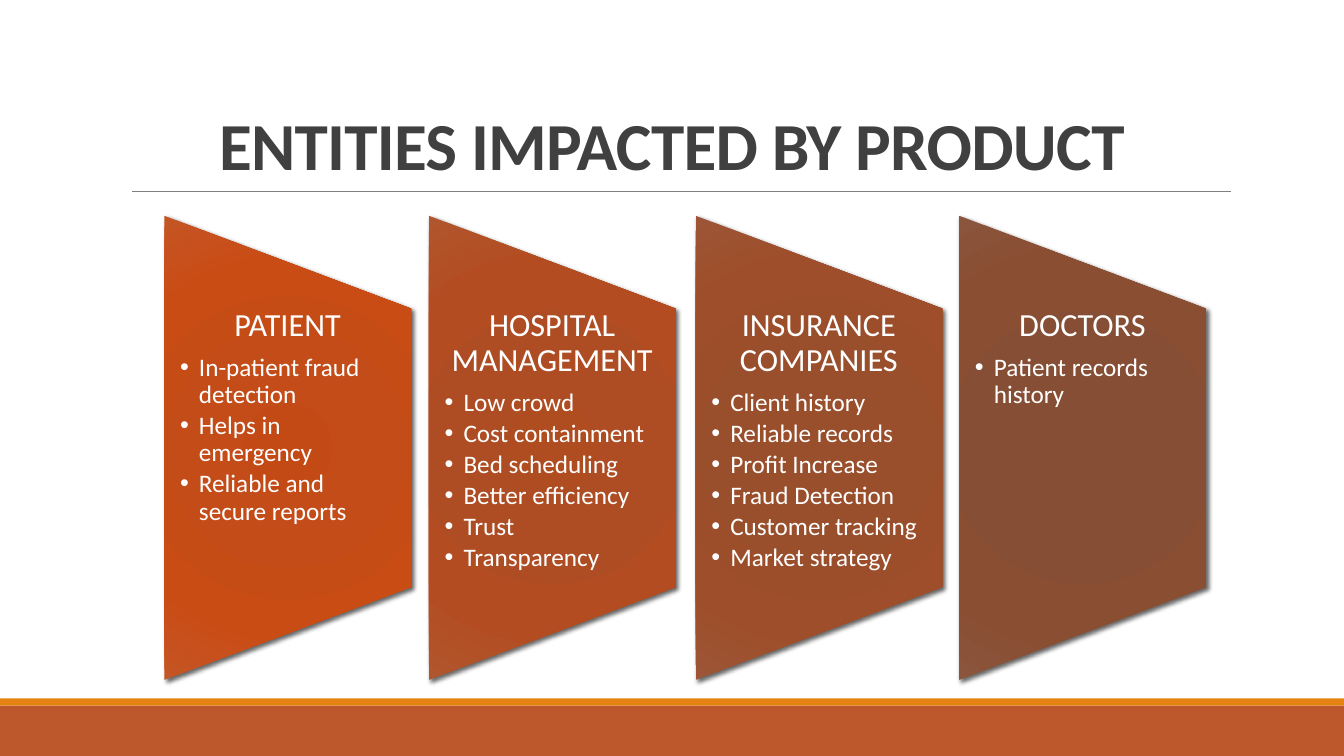
from dataclasses import dataclass
from typing import Any

from lxml.etree import SubElement
from pptx import Presentation
from pptx.dml.color import RGBColor
from pptx.enum.shapes import MSO_CONNECTOR, MSO_SHAPE
from pptx.enum.text import MSO_ANCHOR, MSO_AUTO_SIZE, PP_ALIGN
from pptx.oxml import parse_xml
from pptx.oxml.ns import nsdecls, qn
from pptx.util import Emu, Pt

EMU_PER_PX = 9525
PANEL_LENGTH, PANEL_WIDTH, PANEL_TOP = 442, 235, 309
LIST_TOP, LIST_HEIGHT = 294, 265
BULLET_INDENT = 18
GRADIENT_POSITIONS = (0, 34, 70, 100)
COMPARISON_LAYOUT = 4

FRAME = {"word_wrap": True, "auto_size": MSO_AUTO_SIZE.NONE}
TITLE_FRAME = FRAME | {"vertical_anchor": MSO_ANCHOR.BOTTOM}
TITLE_PARA = {"alignment": PP_ALIGN.CENTER, "line_spacing": 0.85, "space_before": Pt(0)}
TITLE_FONT = {"name": "Calibri", "size": Pt(48), "bold": True}
HEADING_PARA = {"alignment": PP_ALIGN.CENTER, "line_spacing": 0.9,
                "space_before": Pt(0), "space_after": Pt(8)}
HEADING_FONT = {"name": "Calibri", "size": Pt(23), "bold": False}
BULLET_PARA = {"level": 1, "alignment": PP_ALIGN.LEFT, "line_spacing": 0.9,
               "space_before": Pt(0), "space_after": Pt(2.7)}
BULLET_FONT = HEADING_FONT | {"size": Pt(18)}


@dataclass(frozen=True)
class Bar:
    top: int
    height: int
    fill: str


@dataclass(frozen=True)
class Entity:
    left: int
    colours: tuple[str, ...]
    heading: str
    points: tuple[str, ...]


BARS = (Bar(672, 48, "BD582C"), Bar(665, 7, "E48312"))
ENTITIES = (
    Entity(53, ("C44A15", "C34C18", "C94C15", "C45525"), "PATIENT",
           ("In-patient fraud detection", "Helps in emergency",
            "Reliable and secure reports")),
    Entity(305, ("AF4C20", "AE4D23", "B34D21", "B0562E"), "HOSPITAL MANAGEMENT",
           ("Low crowd", "Cost containment", "Bed scheduling",
            "Better efficiency", "Trust", "Transparency")),
    Entity(559, ("9A4C29", "994E2C", "9E4E2A", "9C5536"), "INSURANCE COMPANIES",
           ("Client history", "Reliable records", "Profit Increase",
            "Fraud Detection", "Customer tracking", "Market strategy")),
    Entity(810, ("874C32", "864E34", "8A4E33", "8A553C"), "DOCTORS",
           ("Patient records history",)),
)


def px(length: float) -> Emu:
    return Emu(round(length * EMU_PER_PX))


def colour(value: str) -> RGBColor:
    return RGBColor.from_string(value)


def set_format(target: Any, values: dict[str, Any]) -> None:
    for name, value in values.items():
        setattr(target, name, value)


def place(box: Any, left: float, top: int, width: int, height: int) -> None:
    set_format(box, {"left": px(left), "top": px(top),
                     "width": px(width), "height": px(height)})


def write(para: Any, text: str, para_format: dict[str, Any],
          font_format: dict[str, Any], fill: str) -> Any:
    """Fill a paragraph with one formatted span and return the span."""
    set_format(para, para_format)
    span = para.add_run()
    span.text = text
    set_format(span.font, font_format)
    span.font.color.rgb = colour(fill)
    return span


def set_bullet(para: Any, mark: str | None) -> None:
    """Give the paragraph a hanging bullet, or none at all."""
    properties = para._p.get_or_add_pPr()
    indent = px(BULLET_INDENT) if mark else 0
    properties.set("marL", str(indent))
    properties.set("indent", str(-indent))
    if mark:
        SubElement(properties, qn("a:buFont"), typeface="Arial")
        SubElement(properties, qn("a:buChar"), char=mark)
    else:
        SubElement(properties, qn("a:buNone"))


def add_bar(page: Any, bar: Bar, width: int) -> None:
    box = page.shapes.add_shape(MSO_SHAPE.RECTANGLE, 0, px(bar.top), width, px(bar.height))
    box.shadow.inherit = False
    box.fill.solid()
    box.fill.fore_color.rgb = colour(bar.fill)
    box.line.fill.background()


def add_title_rule(page: Any) -> None:
    rule = page.shapes.add_connector(MSO_CONNECTOR.STRAIGHT,
                                     px(126), px(182), px(1172), px(182))
    rule.line.color.rgb = colour("808080")
    rule.line.width = Pt(0.5)
    SubElement(rule.element.spPr, qn("a:effectLst"))


def write_title(title: Any, text: str) -> None:
    place(title, 112, 60, 1056, 120)
    set_format(title.text_frame, TITLE_FRAME)
    span = write(title.text_frame.paragraphs[0], text, TITLE_PARA, TITLE_FONT, "404040")
    span.font._element.set("spc", "-50")


def add_panel(page: Any, entity: Entity) -> None:
    panel = page.shapes.add_shape(MSO_SHAPE.FLOWCHART_MANUAL_OPERATION, px(entity.left),
                                  px(PANEL_TOP), px(PANEL_LENGTH), px(PANEL_WIDTH))
    panel.rotation = 270
    panel.line.fill.background()
    panel.fill.solid()
    panel.shadow.inherit = False
    stops = "".join(
        f'<a:gs pos="{position * 1000}"><a:srgbClr val="{value}"/></a:gs>'
        for position, value in zip(GRADIENT_POSITIONS, entity.colours))
    properties = panel.element.spPr
    properties.replace(properties.find(qn("a:solidFill")), parse_xml(
        f'<a:gradFill {nsdecls("a")} rotWithShape="1"><a:gsLst>{stops}</a:gsLst>'
        '<a:path path="circle"><a:fillToRect l="100000" t="100000" r="100000" b="100000"/>'
        '</a:path></a:gradFill>'))
    properties.find(qn("a:effectLst")).append(parse_xml(
        f'<a:outerShdw {nsdecls("a")} blurRad="38100" dist="25400" dir="2700000" '
        'rotWithShape="0"><a:srgbClr val="000000"><a:alpha val="60000"/></a:srgbClr>'
        '</a:outerShdw>'))


def write_list(page: Any, body: Any, entity: Entity) -> None:
    """Lay the heading and its bullets over the entity's panel."""
    place(body, entity.left + (PANEL_LENGTH - PANEL_WIDTH) / 2, LIST_TOP,
          PANEL_WIDTH, LIST_HEIGHT)
    page.shapes.element.append(body.element)
    frame = body.text_frame
    set_format(frame, FRAME | {"vertical_anchor": MSO_ANCHOR.TOP,
                               "margin_left": px(15), "margin_right": px(15),
                               "margin_top": 0, "margin_bottom": 0})
    heading = frame.paragraphs[0]
    write(heading, entity.heading, HEADING_PARA, HEADING_FONT, "FFFFFF")
    set_bullet(heading, None)
    for point in entity.points:
        para = frame.add_paragraph()
        write(para, point, BULLET_PARA, BULLET_FONT, "FFFFFF")
        set_bullet(para, "•")


def main() -> None:
    deck = Presentation()
    deck.slide_width, deck.slide_height = px(1280), px(720)
    page = deck.slides.add_slide(deck.slide_layouts[COMPARISON_LAYOUT])
    title, *bodies = page.placeholders
    for bar in BARS:
        add_bar(page, bar, deck.slide_width)
    add_title_rule(page)
    write_title(title, "ENTITIES IMPACTED BY PRODUCT")
    for entity, body in zip(ENTITIES, bodies):
        add_panel(page, entity)
        write_list(page, body, entity)
    deck.save("out.pptx")


if __name__ == "__main__":
    main()
